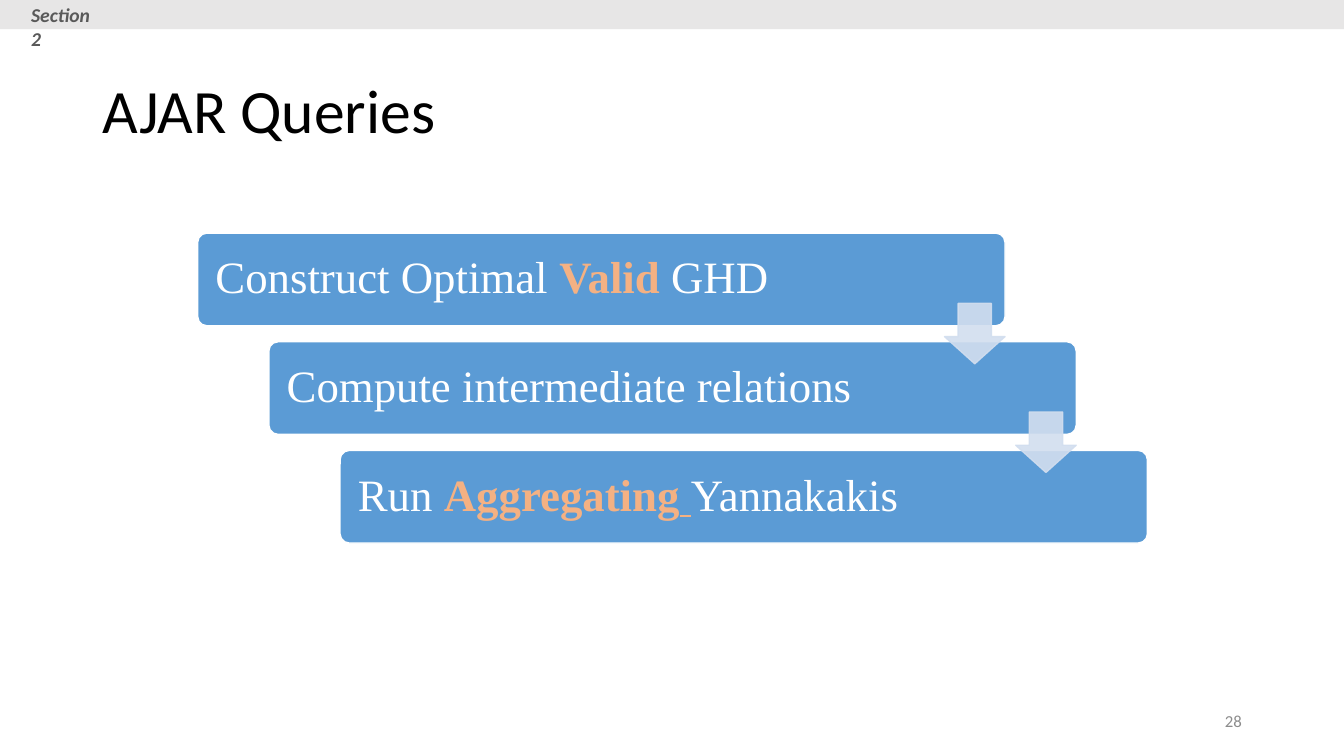
import lxml.etree
import pptx
import pptx.util
import pptx.dml.color
import pptx.enum.shapes
import pptx.enum.text
import pptx.oxml.ns

Pt = pptx.util.Pt
RGBColor = pptx.dml.color.RGBColor
Shape = pptx.enum.shapes.MSO_SHAPE
Align = pptx.enum.text.PP_ALIGN
Anchor = pptx.enum.text.MSO_ANCHOR

BLACK = RGBColor(0x00, 0x00, 0x00)
WHITE = RGBColor(0xFF, 0xFF, 0xFF)
BAND_GRAY = RGBColor(0xE7, 0xE6, 0xE6)
SECTION_GRAY = RGBColor(0x59, 0x59, 0x59)
NUMBER_GRAY = RGBColor(0x8C, 0x8C, 0x8C)
STEP_BLUE = RGBColor(0x5B, 0x9B, 0xD5)
ARROW_BLUE = RGBColor(0xD2, 0xDE, 0xEF)
ACCENT_ORANGE = RGBColor(0xF4, 0xB1, 0x83)

STEPS = [
    [("Construct Optimal ", ""), ("Valid", "bold"), (" GHD", "")],
    [("Compute intermediate relations", "")],
    [("Run ", ""), ("Aggregating", "bold"), (" ", "underline"), ("Yannakakis", "")],
]


def style_font(font, size, color, name="Calibri"):
    font.name = name
    font.size = Pt(size)
    font.color.rgb = color


def add_filled_shape(slide, kind, box, fill, line=None):
    shape = slide.shapes.add_shape(kind, *map(Pt, box))
    shape.shadow.inherit = False
    shape.fill.solid()
    shape.fill.fore_color.rgb = fill
    if line is None:
        shape.line.fill.background()
    else:
        shape.line.color.rgb = line
        shape.line.width = Pt(1)
    return shape


def add_label(slide, box, text, size, color):
    label = slide.shapes.add_textbox(*map(Pt, box))
    label.text_frame.word_wrap = True
    label.text_frame.text = text
    paragraph = label.text_frame.paragraphs[0]
    style_font(paragraph.runs[0].font, size, color)
    return label


def add_section_band(slide, box, section):
    left, top, width, height = box
    add_filled_shape(slide, Shape.RECTANGLE, box, BAND_GRAY)
    label = add_label(slide, (left + 15.1, top - 1.4, 66.2, 24.5), section, 14, SECTION_GRAY)
    font = label.text_frame.paragraphs[0].runs[0].font
    font.bold = True
    font.italic = True


def set_title(slide, box, text):
    title = slide.shapes.title
    title.left, title.top, title.width, title.height = map(Pt, box)
    frame = title.text_frame
    frame.text = text
    frame.auto_size = pptx.enum.text.MSO_AUTO_SIZE.NONE
    frame.vertical_anchor = Anchor.MIDDLE
    paragraph = frame.paragraphs[0]
    paragraph.alignment = Align.LEFT
    paragraph.line_spacing = 0.9
    style_font(paragraph.runs[0].font, 44, BLACK)


def add_step(slide, box, pieces):
    step = add_filled_shape(slide, Shape.ROUNDED_RECTANGLE, box, STEP_BLUE, WHITE)
    step.adjustments[0] = 0.1
    frame = step.text_frame
    frame.word_wrap = True
    frame.vertical_anchor = Anchor.MIDDLE
    frame.margin_left = Pt(10.8)
    frame.margin_right = frame.margin_top = frame.margin_bottom = Pt(9.4)
    paragraph = frame.paragraphs[0]
    paragraph.alignment = Align.LEFT
    paragraph.line_spacing = 0.9
    for text, emphasis in pieces:
        run = paragraph.add_run()
        run.text = text
        color = ACCENT_ORANGE if emphasis else WHITE
        style_font(run.font, 32, color, "Times New Roman")
        run.font.bold = emphasis == "bold"
        run.font.underline = emphasis == "underline"


def add_step_arrow(slide, box):
    arrow = add_filled_shape(slide, Shape.DOWN_ARROW, box, ARROW_BLUE, ARROW_BLUE)
    arrow.adjustments[0] = 0.55
    arrow.adjustments[1] = 0.45
    for color in arrow._element.spPr.findall(".//" + pptx.oxml.ns.qn("a:srgbClr")):
        lxml.etree.SubElement(color, pptx.oxml.ns.qn("a:alpha"), val="90000")


def add_staircase(slide, box, steps):
    left, top, width, height = box
    step_width, step_height, arrow_size = 576.7, 66.2, 43.2
    shift = (width - step_width) / (len(steps) - 1)
    drop = (height - step_height) / (len(steps) - 1)
    for index, pieces in enumerate(steps):
        add_step(slide, (left + index * shift, top + index * drop, step_width, step_height), pieces)
    for index in range(len(steps) - 1):
        arrow_left = left + index * shift + step_width - arrow_size
        arrow_top = top + index * drop + 50.2
        add_step_arrow(slide, (arrow_left, arrow_top, arrow_size, arrow_size))


def add_slide_number(slide, box, number):
    label = add_label(slide, box, number, 12, NUMBER_GRAY)
    label.text_frame.vertical_anchor = Anchor.MIDDLE
    label.text_frame.paragraphs[0].alignment = Align.RIGHT


def main():
    presentation = pptx.Presentation()
    presentation.slide_width = Pt(960)
    presentation.slide_height = Pt(540)
    slide = presentation.slides.add_slide(presentation.slide_layouts[5])
    add_section_band(slide, (0, 0, 960, 20.9), "Section 2")
    set_title(slide, (66.2, 28.8, 884.2, 104.4), "AJAR Queries")
    add_staircase(slide, (141.2, 166.5, 678.4, 221.4), STEPS)
    add_slide_number(slide, (678.2, 500.4, 216, 28.8), "28")
    presentation.save("out.pptx")


if __name__ == "__main__":
    main()
